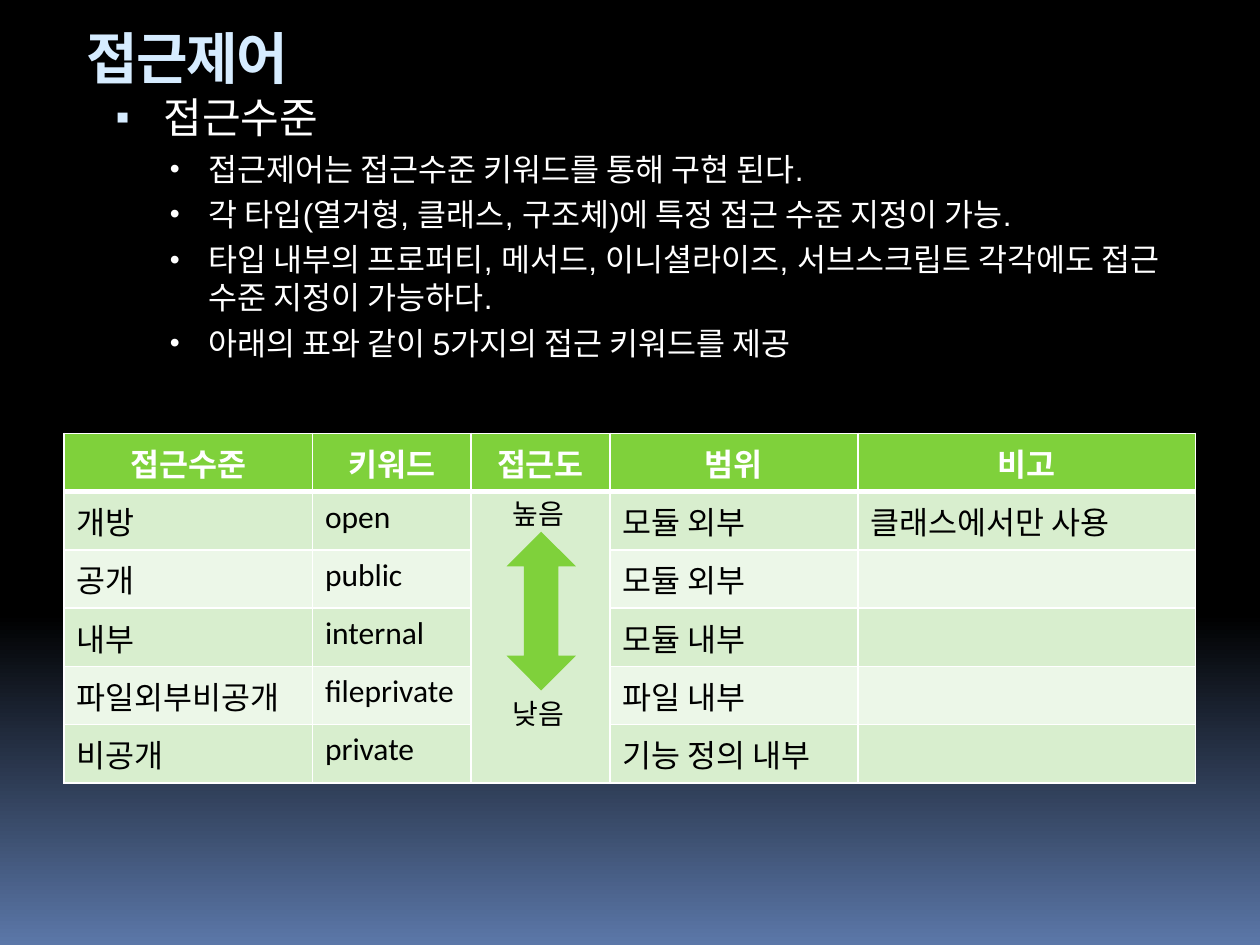
from dataclasses import dataclass
from typing import Any

from lxml import etree
from pptx import Presentation
from pptx.dml.color import RGBColor
from pptx.enum.shapes import MSO_SHAPE
from pptx.enum.text import MSO_ANCHOR, MSO_AUTO_SIZE, PP_ALIGN
from pptx.oxml.ns import qn
from pptx.util import Inches, Pt

UP_DOWN_ARROW = MSO_SHAPE.UP_DOWN_ARROW
TOP, MIDDLE = MSO_ANCHOR.TOP, MSO_ANCHOR.MIDDLE
FIT_SHAPE, NO_FIT = MSO_AUTO_SIZE.SHAPE_TO_FIT_TEXT, MSO_AUTO_SIZE.NONE
LEFT, CENTER = PP_ALIGN.LEFT, PP_ALIGN.CENTER

COLORS = {
    "night": "000000",
    "dusk": "5B77A8",
    "title": "D6ECFF",
    "light": "FFFFFF",
    "dark": "000000",
    "green": "7FD13B",
    "odd": "D8EECE",
    "even": "ECF7E8",
}
FORMATS: dict[str, dict[str, Any]] = {
    "title": {"name": "Arial", "size": Pt(32), "bold": True},
    "topic": {"name": "Arial", "size": Pt(24)},
    "detail": {"name": "Arial", "size": Pt(18)},
    "header": {"name": "Calibri", "size": Pt(18), "bold": True},
    "cell": {"name": "Calibri", "size": Pt(18), "bold": False},
    "label": {"name": "Calibri", "size": Pt(16)},
}


@dataclass(frozen=True)
class Area:
    left: float
    top: float
    width: float
    height: float

    def lengths(self) -> tuple:
        return tuple(Inches(n) for n in (self.left, self.top, self.width, self.height))


@dataclass(frozen=True)
class BulletStyle:
    mark: str
    color: str
    percent: int
    margin: float
    indent: float
    level: int
    style: str


@dataclass(frozen=True)
class Item:
    text: str
    bullet: BulletStyle
    space_before: float = 4.3


TOPIC = BulletStyle("▪", "title", 95, 0.45, -0.38, 0, "topic")
DETAIL = BulletStyle("•", "light", 90, 0.81, -0.31, 1, "detail")
ITEMS = [
    Item("접근수준", TOPIC, 0),
    Item("접근제어는 접근수준 키워드를 통해 구현 된다.", DETAIL),
    Item("각 타입(열거형, 클래스, 구조체)에 특정 접근 수준 지정이 가능.", DETAIL),
    Item(
        "타입 내부의 프로퍼티, 메서드, 이니셜라이즈, 서브스크립트 각각에도 "
        "접근 수준 지정이 가능하다.",
        DETAIL,
    ),
    Item("아래의 표와 같이 5가지의 접근 키워드를 제공", DETAIL),
]
ROWS = [
    ("접근수준", "키워드", "접근도", "범위", "비고"),
    ("개방", "open", "", "모듈 외부", "클래스에서만 사용"),
    ("공개", "public", "", "모듈 외부", ""),
    ("내부", "internal", "", "모듈 내부", ""),
    ("파일외부비공개", "fileprivate", "", "파일 내부", ""),
    ("비공개", "private", "", "기능 정의 내부", ""),
]
COLUMN_WIDTHS = (1.97, 1.26, 1.1, 1.97, 2.68)
HEADER_HEIGHT, ROW_HEIGHT = 0.39, 0.41
ACCESS_COLUMN = 2
TABLE_AREA = Area(0.51, 3.44, 8.98, 2.43)
LABELS = {"높음": 3.89, "낮음": 5.48}


def rgb(color: str) -> RGBColor:
    return RGBColor.from_string(COLORS[color])


def add_span(para, text: str, style: str, color: str):
    span = para.add_run()
    span.text = text
    for name, value in FORMATS[style].items():
        setattr(span.font, name, value)
    span.font.color.rgb = rgb(color)
    return span


def add_box(slide, area: Area, **frame_format):
    box = slide.shapes.add_textbox(*area.lengths())
    settings = {"word_wrap": True, "auto_size": NO_FIT, "vertical_anchor": TOP}
    for name, value in (settings | frame_format).items():
        setattr(box.text_frame, name, value)
    return box.text_frame


def set_bullet(para, bullet: BulletStyle) -> None:
    properties = para._p.get_or_add_pPr()
    properties.set("marL", str(Inches(bullet.margin)))
    properties.set("indent", str(Inches(bullet.indent)))
    color = etree.SubElement(properties, qn("a:buClr"))
    etree.SubElement(color, qn("a:srgbClr"), val=COLORS[bullet.color])
    etree.SubElement(properties, qn("a:buSzPct"), val=str(bullet.percent * 1000))
    etree.SubElement(properties, qn("a:buFont"), typeface="Arial")
    etree.SubElement(properties, qn("a:buChar"), char=bullet.mark)


def add_items(slide, area: Area, items: list[Item]) -> None:
    frame = add_box(slide, area)
    for index, item in enumerate(items):
        para = frame.add_paragraph() if index else frame.paragraphs[0]
        set_bullet(para, item.bullet)
        para.level = item.bullet.level
        para.space_before = Pt(item.space_before)
        add_span(para, item.text, item.bullet.style, "light")


def set_borders(cell, widths: dict[str, float]) -> None:
    properties = cell._tc.get_or_add_tcPr()
    for side, width in widths.items():
        line = etree.SubElement(properties, qn(f"a:ln{side}"), w=str(Pt(width)))
        fill = etree.SubElement(line, qn("a:solidFill"))
        etree.SubElement(fill, qn("a:srgbClr"), val=COLORS["light"])


def fill_cell(cell, text: str, row: int) -> None:
    is_header = row == 0
    set_borders(
        cell, {"L": 1, "R": 1, "T": 3 if row == 1 else 1, "B": 3 if is_header else 1}
    )
    cell.fill.solid()
    cell.fill.fore_color.rgb = rgb("green" if is_header else "odd" if row % 2 else "even")
    para = cell.text_frame.paragraphs[0]
    para.alignment = CENTER if is_header else LEFT
    if text:
        style, color = ("header", "light") if is_header else ("cell", "dark")
        add_span(para, text, style, color)


def add_access_table(slide) -> None:
    frame = slide.shapes.add_table(len(ROWS), len(COLUMN_WIDTHS), *TABLE_AREA.lengths())
    table = frame.table
    for column, width in zip(table.columns, COLUMN_WIDTHS):
        column.width = Inches(width)
    for row_index, texts in enumerate(ROWS):
        table.rows[row_index].height = Inches(ROW_HEIGHT if row_index else HEADER_HEIGHT)
        for column_index, text in enumerate(texts):
            fill_cell(table.cell(row_index, column_index), text, row_index)
    last_row = len(ROWS) - 1
    table.cell(1, ACCESS_COLUMN).merge(table.cell(last_row, ACCESS_COLUMN))


def add_access_scale(slide) -> None:
    arrow = slide.shapes.add_shape(UP_DOWN_ARROW, *Area(4.02, 4.22, 0.55, 1.26).lengths())
    arrow.shadow.inherit = False
    arrow.fill.solid()
    arrow.fill.fore_color.rgb = rgb("green")
    arrow.line.fill.background()
    for text, top in LABELS.items():
        area = Area(3.97, top, 0.65, 0.37)
        frame = add_box(slide, area, word_wrap=False, auto_size=FIT_SHAPE)
        add_span(frame.paragraphs[0], text, "label", "dark")


def set_background(slide) -> None:
    fill = slide.background.fill
    fill.gradient()
    fill.gradient_angle = 270
    for stop, (color, position) in zip(fill.gradient_stops, (("night", 0.65), ("dusk", 1))):
        stop.color.rgb = rgb(color)
        stop.position = position


def main() -> None:
    deck = Presentation()
    deck.slide_width, deck.slide_height = Inches(10), Inches(7.5)
    slide = deck.slides.add_slide(deck.slide_layouts[6])
    set_background(slide)
    title = add_box(slide, Area(0.59, 0.13, 9.49, 0.65), vertical_anchor=MIDDLE)
    span = add_span(title.paragraphs[0], "접근제어", "title", "title")
    span._r.get_or_add_rPr().set("spc", "-100")
    add_items(slide, Area(0.75, 0.68, 8.74, 3.46), ITEMS)
    add_access_table(slide)
    add_access_scale(slide)
    deck.save("out.pptx")


if __name__ == "__main__":
    main()
